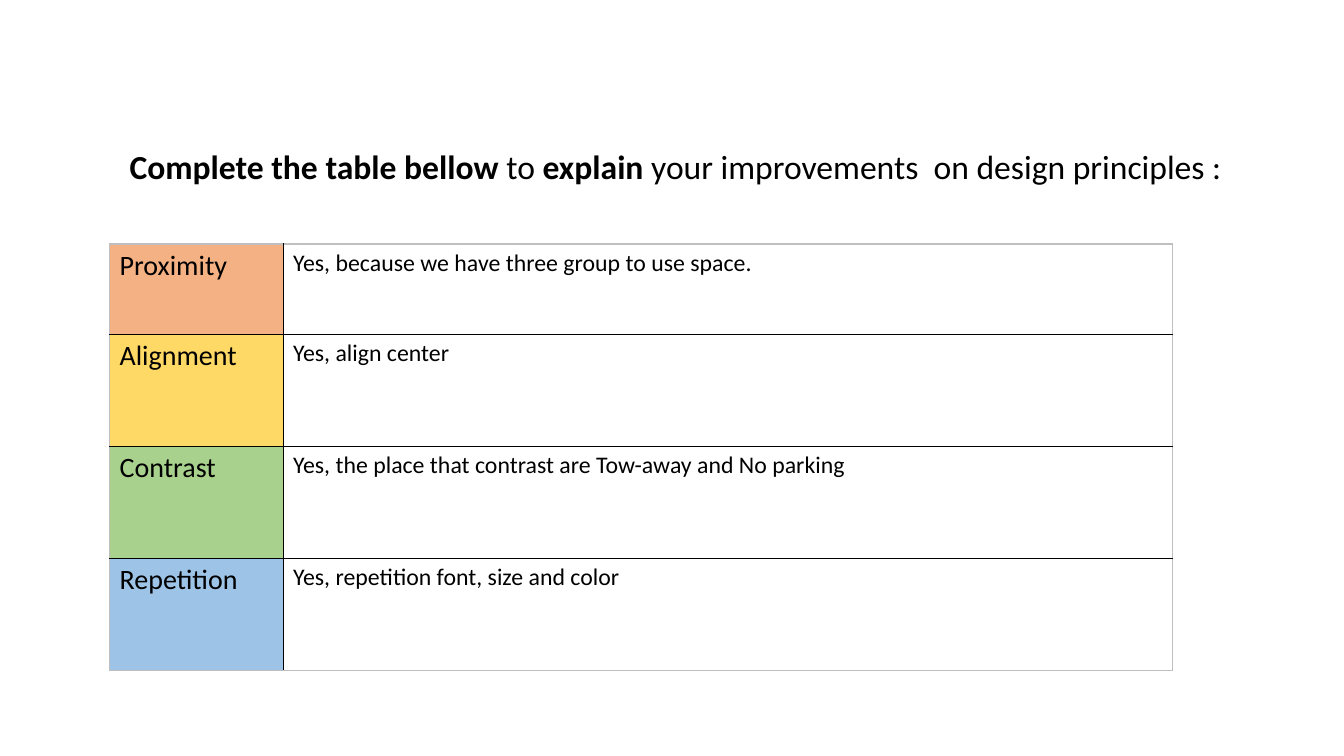
from lxml import etree
from pptx import Presentation
from pptx import util as u
from pptx.dml.color import RGBColor
from pptx.enum import text
from pptx.oxml import ns

COLORS = {
    "text": "000000", "inner": "000000", "outer": "BFBFBF",
    "orange": "F4B183", "yellow": "FFD966", "green": "A9D18E", "blue": "9DC3E6",
}
FONT = "Calibri"
HEADING = [
    (" Complete the table bellow ", True),
    ("to ", False),
    ("explain", True),
    (" your improvements  on design principles :", False),
]
PRINCIPLES = [
    ("Proximity", "Yes, because we have three group to use space.", "orange", 64.5),
    ("Alignment", "Yes, align center", "yellow", 80),
    ("Contrast", "Yes, the place that contrast are Tow-away and No parking", "green", 80),
    ("Repetition", "Yes, repetition font, size and color", "blue", 80),
]
COLUMN_WIDTHS = [124, 635.5]
TABLE_LEFT, TABLE_TOP = 78.25, 174.25
NAME_SIZE, ANSWER_SIZE = 20, 17


def add_run(paragraph, words, size, bold=False):
    """Add one styled run to a paragraph."""
    run = paragraph.add_run()
    run.text = words
    run.font.name, run.font.size, run.font.bold = FONT, u.Pt(size), bold
    run.font.color.rgb = RGBColor.from_string(COLORS["text"])


def set_borders(cell, sides):
    """Draw the four cell borders; sides maps each side to a colour name."""
    properties = cell._tc.get_or_add_tcPr()
    for index, side in enumerate("LRTB"):
        line = etree.Element(ns.qn(f"a:ln{side}"), w=str(u.Pt(1)))
        fill = etree.SubElement(line, ns.qn("a:solidFill"))
        etree.SubElement(fill, ns.qn("a:srgbClr"), val=COLORS[sides[side]])
        properties.insert(index, line)


def add_heading(slide):
    """Add the centred instruction above the table."""
    box = slide.shapes.add_textbox(u.Pt(64), u.Pt(100.75), u.Pt(831.5), u.Pt(36))
    box.text_frame.word_wrap = True
    paragraph = box.text_frame.paragraphs[0]
    paragraph.alignment = text.PP_ALIGN.CENTER
    for words, bold in HEADING:
        add_run(paragraph, words, 24, bold)


def add_principles(slide):
    """Add the table of design principles and answers."""
    last_row, last_column = len(PRINCIPLES) - 1, len(COLUMN_WIDTHS) - 1
    height = sum(principle[-1] for principle in PRINCIPLES)
    table = slide.shapes.add_table(
        len(PRINCIPLES), len(COLUMN_WIDTHS), u.Pt(TABLE_LEFT), u.Pt(TABLE_TOP),
        u.Pt(sum(COLUMN_WIDTHS)), u.Pt(height)).table
    table.first_row = table.horz_banding = False
    for column, width in zip(table.columns, COLUMN_WIDTHS):
        column.width = u.Pt(width)
    for r, (name, answer, color, row_height) in enumerate(PRINCIPLES):
        table.rows[r].height = u.Pt(row_height)
        for c, (words, size) in enumerate([(name, NAME_SIZE), (answer, ANSWER_SIZE)]):
            cell = table.cell(r, c)
            add_run(cell.text_frame.paragraphs[0], words, size)
            if c == 0:
                cell.fill.solid()
                cell.fill.fore_color.rgb = RGBColor.from_string(COLORS[color])
            else:
                cell.fill.background()
            at_edge = {"L": c == 0, "R": c == last_column, "T": r == 0, "B": r == last_row}
            set_borders(cell, {side: "outer" if edge else "inner"
                               for side, edge in at_edge.items()})


presentation = Presentation()
presentation.slide_width, presentation.slide_height = u.Pt(960), u.Pt(540)
slide = presentation.slides.add_slide(presentation.slide_layouts[6])
add_principles(slide)
add_heading(slide)
presentation.save("out.pptx")
